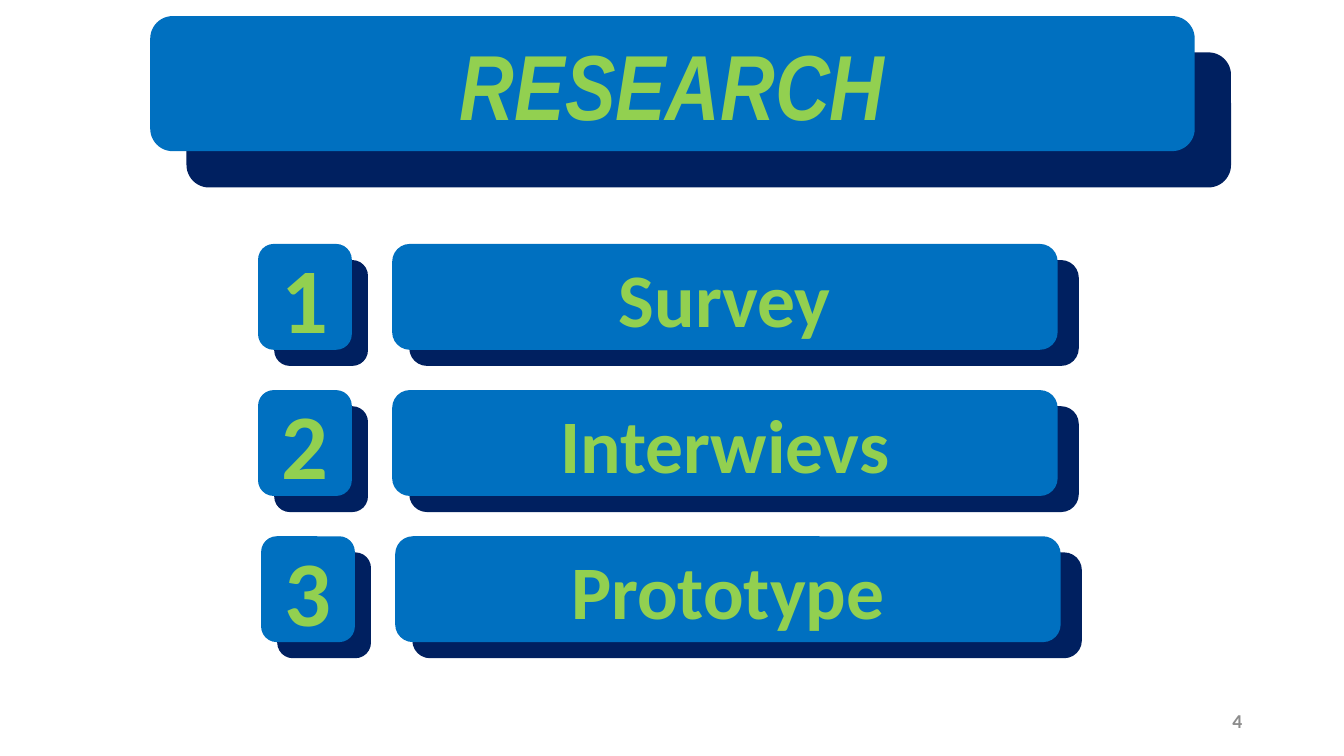
from pptx import Presentation
from pptx.dml.color import RGBColor
from pptx.enum import shapes, text
from pptx.util import Inches, Pt

# Content
HEADING = "RESEARCH"
METHODS = [("1", "Survey"), ("2", "Interwievs"), ("3", "Prototype")]
PAGE = "4"

# Formats
NAVY, BLUE, GREEN, GREY = "002060", "0070C0", "92D050", "8C8C8C"
HEADING_FONT = {"name": "Arial Narrow", "size": Pt(66), "bold": True, "italic": True}
NUMBER_FONT = {"name": "Calibri", "size": Pt(66), "bold": True}
METHOD_FONT = {"name": "Calibri", "size": Pt(54), "bold": True}
PAGE_FONT = {"name": "Calibri", "size": Pt(14), "bold": True}

# Layout in inches
WIDTH, HEIGHT = 13.33, 7.5
BANNER = (1.49, 0.16, 10.36, 1.34)
ROW_TOP, ROW_STEP, ROW_HEIGHT = 2.42, 1.45, 1.05
NUMBER_LEFT, NUMBER_WIDTH = 2.56, 0.93
METHOD_LEFT, METHOD_WIDTH = 3.89, 6.6
ROW_SHIFTS = (0, 0, 0.03)


def rgb(value):
    return RGBColor.from_string(value)


def box(left, top, width, height):
    return [Inches(value) for value in (left, top, width, height)]


def write(shape, words, font, color, align=text.PP_ALIGN.CENTER):
    frame = shape.text_frame
    frame.text = words
    frame.word_wrap = True
    frame.auto_size = text.MSO_AUTO_SIZE.NONE
    frame.vertical_anchor = text.MSO_ANCHOR.MIDDLE
    paragraph = frame.paragraphs[0]
    paragraph.alignment = align
    run_font = paragraph.runs[0].font
    for name, value in font.items():
        setattr(run_font, name, value)
    run_font.color.rgb = rgb(color)


def panel(group, left, top, width, height, color):
    shape = group.shapes.add_shape(shapes.MSO_SHAPE.ROUNDED_RECTANGLE,
                                   *box(left, top, width, height))
    shape.shadow.inherit = False
    shape.fill.solid()
    shape.fill.fore_color.rgb = rgb(color)
    shape.line.fill.background()
    return shape


def raised_panel(group, left, top, width, height, dx, dy, extra=0):
    """Blue panel in front of an offset navy one."""
    panel(group, left + dx, top + dy, width + extra, height, NAVY)
    return panel(group, left, top, width, height, BLUE)


def main():
    deck = Presentation()
    deck.slide_width, deck.slide_height = Inches(WIDTH), Inches(HEIGHT)
    slide = deck.slides.add_slide(deck.slide_layouts[5])

    # Page number
    page = slide.shapes.add_textbox(*box(9.42, 6.95, 3, 0.4))
    write(page, PAGE, PAGE_FONT, GREY, text.PP_ALIGN.RIGHT)

    # Banner with the title in front
    raised_panel(slide.shapes.add_group_shape(), *BANNER, 0.36, 0.36)
    heading = slide.shapes.title
    heading.left, heading.top, heading.width, heading.height = box(*BANNER)
    write(heading, HEADING, HEADING_FONT, GREEN)
    slide.shapes._spTree.append(heading._element)

    # Numbered methods
    for row, ((number, method), shift) in enumerate(zip(METHODS, ROW_SHIFTS)):
        group = slide.shapes.add_group_shape()
        top = ROW_TOP + row * ROW_STEP
        number_panel = raised_panel(group, NUMBER_LEFT + shift, top,
                                    NUMBER_WIDTH, ROW_HEIGHT, 0.16, 0.16)
        write(number_panel, number, NUMBER_FONT, GREEN)
        method_panel = raised_panel(group, METHOD_LEFT + shift, top,
                                    METHOD_WIDTH, ROW_HEIGHT, 0.17, 0.16, 0.04)
        write(method_panel, method, METHOD_FONT, GREEN)

    deck.save("out.pptx")


if __name__ == "__main__":
    main()
